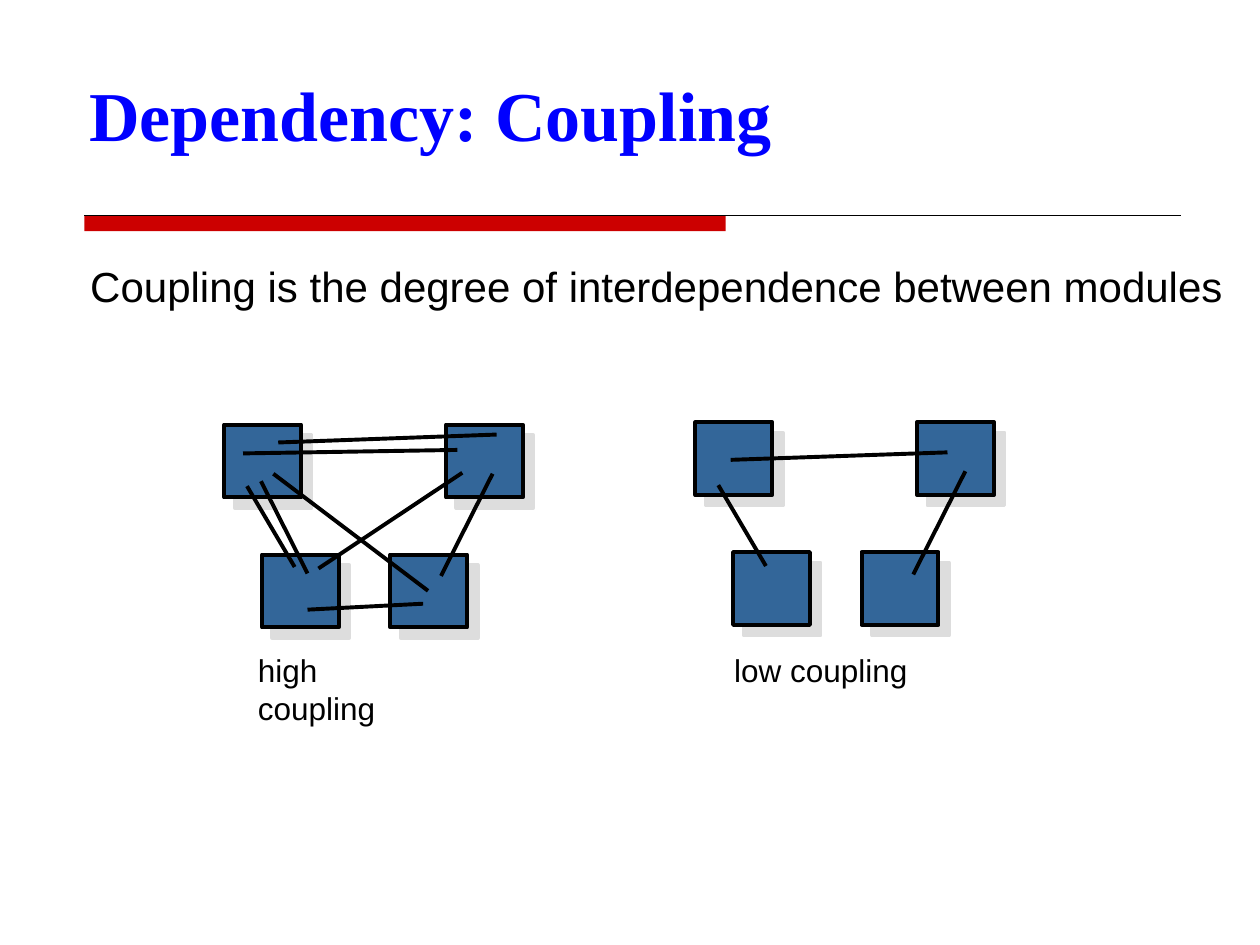
from lxml import etree
from pptx import Presentation
from pptx.dml.color import RGBColor
from pptx.enum.shapes import MSO_CONNECTOR, MSO_SHAPE
from pptx.enum.text import MSO_ANCHOR, MSO_AUTO_SIZE, PP_ALIGN
from pptx.oxml import parse_xml
from pptx.oxml.ns import nsdecls, qn
from pptx.util import Cm, Pt

RECTANGLE = MSO_SHAPE.RECTANGLE
STRAIGHT = MSO_CONNECTOR.STRAIGHT
LEFT = PP_ALIGN.LEFT
MIDDLE = MSO_ANCHOR.MIDDLE
GROW = MSO_AUTO_SIZE.SHAPE_TO_FIT_TEXT
TITLE_ONLY = 5

BLACK = RGBColor(0x00, 0x00, 0x00)
BLUE = RGBColor(0x00, 0x00, 0xFF)
STEEL = RGBColor(0x33, 0x66, 0x99)
RED = RGBColor(0xCC, 0x00, 0x00)
GREY = RGBColor(0xDD, 0xDD, 0xDD)

# Module corners and link ends, in cm from the diagram's top left corner
MODULE_SIZE = (1.55, 1.47)
MODULES = [(0, 0), (4.47, 0), (0.76, 2.62), (3.35, 2.62)]
HIGH_LINKS = [
    ((1.09, 0.36), (5.49, 0.2)),
    ((0.38, 0.58), (4.7, 0.51)),
    ((1.9, 2.9), (4.8, 0.97)),
    ((1.68, 3.73), (4.01, 3.61)),
    ((0.46, 1.24), (1.42, 2.87)),
    ((0.99, 0.99), (4.11, 3.35)),
    ((4.37, 3.05), (5.41, 0.99)),
    ((0.74, 1.14), (1.68, 3)),
]
LOW_LINKS = [
    ((0.71, 0.76), (5.08, 0.61)),
    ((0.46, 1.27), (1.42, 2.9)),
    ((4.39, 3.07), (5.44, 0.99)),
]


class SlideBuilder:
    title_font = "Times New Roman"
    body_font = "Arial"
    line_width = 2.25

    def __init__(self, slide):
        self.slide = slide

    def title(self, text, left, top, width, height):
        shape = self.slide.shapes.title
        shape.left, shape.top = Cm(left), Cm(top)
        shape.width, shape.height = Cm(width), Cm(height)
        shape.text_frame.text = text
        shape.text_frame.vertical_anchor = MIDDLE
        paragraph = shape.text_frame.paragraphs[0]
        paragraph.alignment = LEFT
        self.format_font(paragraph.font, self.title_font, 40, BLUE, True)

    def format_font(self, font, name, size, color, bold=False):
        font.name, font.size, font.bold = name, Pt(size), bold
        font.color.rgb = color

    def text(self, shapes, text, left, top, width, height, size):
        shape = shapes.add_textbox(Cm(left), Cm(top), Cm(width), Cm(height))
        frame = shape.text_frame
        frame.text = text
        frame.word_wrap = False
        frame.auto_size = GROW
        paragraph = frame.paragraphs[0]
        paragraph.alignment = LEFT
        self.format_font(paragraph.font, self.body_font, size, BLACK)

    def box(self, shapes, left, top, width, height, fill):
        shape = shapes.add_shape(RECTANGLE, Cm(left), Cm(top), Cm(width), Cm(height))
        shape.shadow.inherit = False
        shape.fill.solid()
        shape.fill.fore_color.rgb = fill
        shape.line.fill.background()
        return shape

    def module(self, shapes, left, top):
        shape = self.box(shapes, left, top, *MODULE_SIZE, STEEL)
        shape.line.color.rgb = BLACK
        shape.line.width = Pt(self.line_width)
        effects = shape._element.spPr.find(qn("a:effectLst"))
        effects.append(parse_xml(
            f'<a:outerShdw {nsdecls("a")} blurRad="0" dist="{Pt(8.5)}" dir="2700000" '
            f'algn="ctr" rotWithShape="0"><a:srgbClr val="{GREY}"/></a:outerShdw>'
        ))

    def line(self, shapes, start, end, width):
        connector = shapes.add_connector(STRAIGHT, *map(Cm, start + end))
        connector.line.color.rgb = BLACK
        connector.line.width = Pt(width)
        etree.SubElement(connector._element.spPr, qn("a:effectLst"))

    def diagram(self, left, top, links, label, label_left, label_width):
        shapes = self.slide.shapes.add_group_shape().shapes
        for x, y in MODULES:
            self.module(shapes, left + x, top + y)
        for (x1, y1), (x2, y2) in links:
            self.line(shapes, (left + x1, top + y1), (left + x2, top + y2), self.line_width)
        self.text(shapes, label, label_left, 13, label_width, 1.02, 18)


def main():
    presentation = Presentation()
    presentation.slide_width, presentation.slide_height = Cm(25.4), Cm(19.05)
    slide = presentation.slides.add_slide(presentation.slide_layouts[TITLE_ONLY])
    builder = SlideBuilder(slide)

    # Title with its rule
    builder.box(slide.shapes, 1.7, 4.34, 12.93, 0.32, RED)
    builder.line(slide.shapes, (1.7, 4.34), (23.8, 4.34), 0.75)
    builder.title("Dependency: Coupling", 1.55, 0.61, 22, 3.35)

    # Definition
    builder.text(
        slide.shapes, "Coupling is the degree of interdependence between modules",
        1.57, 5.13, 23.37, 1.27, 24,
    )

    # Coupling diagrams
    builder.diagram(4.52, 8.56, HIGH_LINKS, "high coupling", 4.95, 4.24)
    builder.diagram(14.02, 8.51, LOW_LINKS, "low coupling", 14.55, 4.01)

    presentation.save("out.pptx")


if __name__ == "__main__":
    main()
